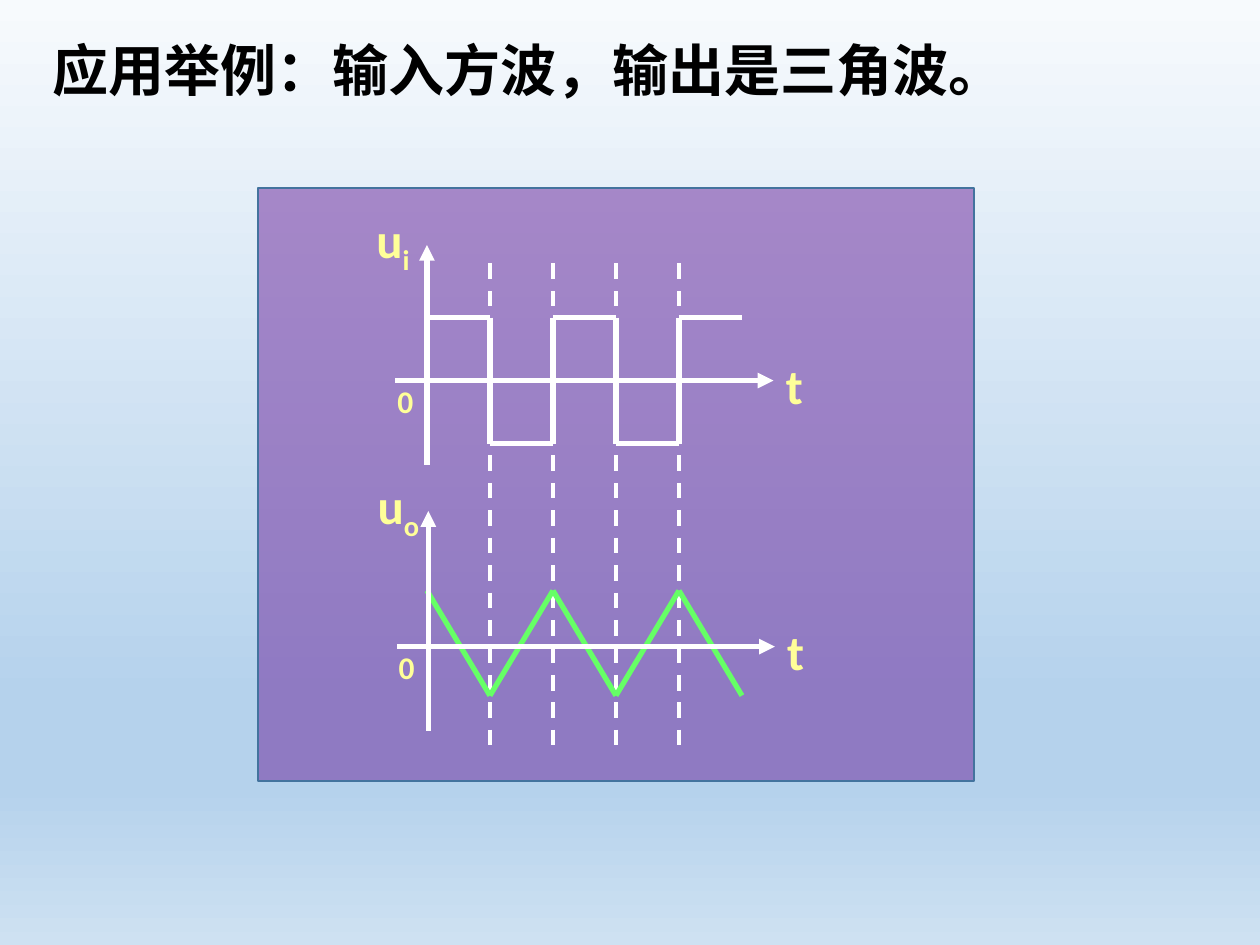
from copy import deepcopy

from lxml.etree import SubElement
from pptx import Presentation
from pptx.dml.color import RGBColor
from pptx.enum.dml import MSO_LINE
from pptx.enum.shapes import MSO_CONNECTOR, MSO_SHAPE
from pptx.enum.text import MSO_AUTO_SIZE
from pptx.oxml.ns import qn
from pptx.util import Pt

BLACK = RGBColor(0x00, 0x00, 0x00)
WHITE = RGBColor(0xFF, 0xFF, 0xFF)
YELLOW = RGBColor(0xFF, 0xFF, 0x99)
GREEN = RGBColor(0x66, 0xFF, 0x66)
PURPLE = RGBColor(0x70, 0x30, 0xA0)
PANEL_EDGE = RGBColor(0x43, 0x73, 0x9E)
SKY = [
    (0, RGBColor(0xF7, 0xFA, 0xFD)),
    (0.74, RGBColor(0xB5, 0xD2, 0xEC)),
    (0.83, RGBColor(0xB5, 0xD2, 0xEC)),
    (1, RGBColor(0xCE, 0xE1, 0xF2)),
]
CJK_FONT = "Noto Sans CJK SC"
LATIN_FONT = "Calibri"

ORIGIN_X = 244
HALF_PERIOD = 36
HALF_PERIODS = 5
INPUT_AXIS_Y = 217.5
OUTPUT_AXIS_Y = 369.5
SQUARE_HIGH, SQUARE_LOW = 181.5, 253.5
TRIANGLE_HIGH, TRIANGLE_LOW = 337.5, 397.5
GUIDE_TOP, GUIDE_BOTTOM = 150.5, 430.5


def paint_background(page):
    fill = page.background.fill
    fill.gradient()
    fill.gradient_angle = 270
    stop_list = page.element.find(".//" + qn("a:gsLst"))
    while len(stop_list) < len(SKY):
        stop_list.append(deepcopy(stop_list[0]))
    for stop, (position, color) in zip(fill.gradient_stops, SKY):
        stop.position = position
        stop.color.rgb = color


def add_panel(page):
    panel = page.shapes.add_shape(
        MSO_SHAPE.RECTANGLE, Pt(147.6), Pt(107.3), Pt(409), Pt(339)
    )
    panel.shadow.inherit = False
    panel.fill.solid()
    panel.fill.fore_color.rgb = PURPLE
    color = panel.fill._xPr.find(".//" + qn("a:srgbClr"))
    SubElement(color, qn("a:alpha"), val="54000")
    panel.line.color.rgb = PANEL_EDGE
    panel.line.width = Pt(1)


def add_line(page, start, end, color=WHITE, width=3, dashed=False, arrow=False):
    line = page.shapes.add_connector(
        MSO_CONNECTOR.STRAIGHT, *(Pt(length) for length in (*start, *end))
    )
    line.line.color.rgb = color
    line.line.width = Pt(width)
    if dashed:
        line.line.dash_style = MSO_LINE.DASH
    if arrow:
        SubElement(line.line._get_or_add_ln(), qn("a:tailEnd"), type="triangle")
    SubElement(line._element.spPr, qn("a:effectLst"))


def add_text(page, text, place, size, color=YELLOW, font=LATIN_FONT, subscript=""):
    box = page.shapes.add_textbox(*(Pt(length) for length in place))
    frame = box.text_frame
    frame.word_wrap = True
    frame.auto_size = MSO_AUTO_SIZE.SHAPE_TO_FIT_TEXT
    frame.text = text
    para = frame.paragraphs[0]
    if subscript:
        para.add_run().text = subscript
    for span in para.runs:
        span.font.name = font
        span.font.size = Pt(size)
        span.font.bold = True
        span.font.color.rgb = color
    if subscript:
        para.runs[-1].font._element.set("baseline", "-25000")
    return para


def add_title(page):
    para = add_text(
        page, "应用举例：输入方波，输出是三角波。", (23, 22.3, 570, 45.4), 32, BLACK, CJK_FONT
    )
    para.line_spacing = 0.87
    SubElement(para.runs[0].font._element, qn("a:ea"), typeface=CJK_FONT)


def add_axes(page, x, y, subscript):
    """Draw labelled time and voltage axes that cross at (x, y)."""
    add_text(page, "t", (x + 198, y - 18, 30, 41), 28)
    add_line(page, (x, y - 59.5), (x, y + 48.5))
    add_line(page, (x - 18, y), (x + 180, y))
    add_line(page, (x + 174, y), (x + 198, y), arrow=True)
    add_line(page, (x, y - 59.5), (x, y - 77.5), arrow=True)
    add_text(page, "u", (x - 36, y - 101.5, 46, 41), 28, subscript=subscript)
    add_text(page, "0", (x - 24, y - 2.5, 30, 36), 18)


def add_guides(page, edges):
    for x in edges:
        add_line(page, (x, GUIDE_TOP), (x, GUIDE_BOTTOM), width=2.25, dashed=True)


def add_square_wave(page, edges):
    for index, x in enumerate(edges[:-1]):
        level = SQUARE_LOW if index % 2 else SQUARE_HIGH
        add_line(page, (x, level), (x + HALF_PERIOD, level))
    for x in edges[1:-1]:
        add_line(page, (x, SQUARE_HIGH), (x, SQUARE_LOW))


def add_triangle_wave(page, edges):
    corners = [
        (x, TRIANGLE_LOW if index % 2 else TRIANGLE_HIGH)
        for index, x in enumerate(edges)
    ]
    for start, end in zip(corners, corners[1:]):
        add_line(page, start, end, GREEN)


def main():
    deck = Presentation()
    deck.slide_width, deck.slide_height = Pt(720), Pt(540)
    page = deck.slides.add_slide(deck.slide_layouts[6])
    edges = [ORIGIN_X + HALF_PERIOD * step for step in range(HALF_PERIODS + 1)]
    paint_background(page)
    add_panel(page)
    add_title(page)
    add_guides(page, edges[1:-1])
    add_square_wave(page, edges)
    add_axes(page, ORIGIN_X, INPUT_AXIS_Y, "i")
    add_triangle_wave(page, edges)
    add_axes(page, ORIGIN_X + 0.75, OUTPUT_AXIS_Y, "o")
    deck.save("out.pptx")


if __name__ == "__main__":
    main()
